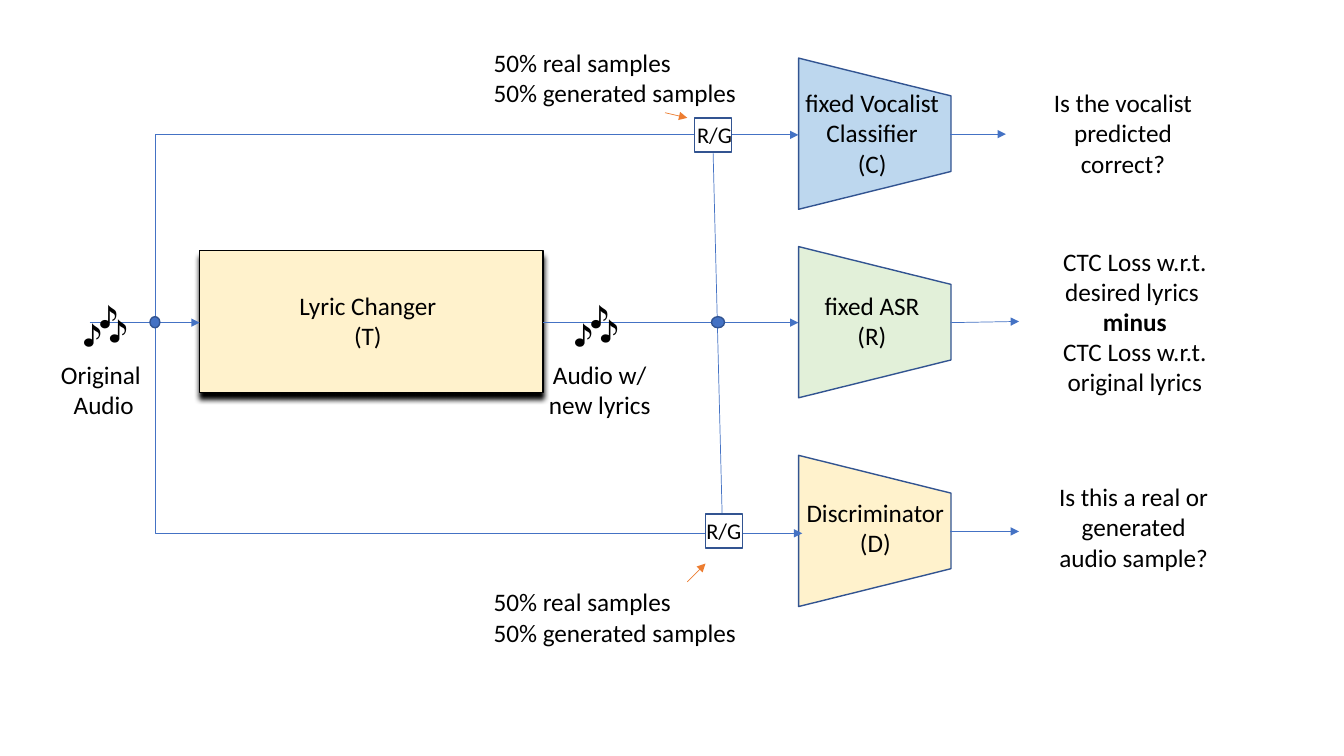
"""Draws the training diagram of a lyric changer with its three judges."""
import pptx
import pptx.util
import pptx.dml.color
import pptx.enum.shapes
import pptx.enum.text
import pptx.oxml
import pptx.oxml.ns
from lxml import etree

Cm = pptx.util.Cm
Pt = pptx.util.Pt
KIND = pptx.enum.shapes.MSO_SHAPE
LINK = pptx.enum.shapes.MSO_CONNECTOR
ALIGN = pptx.enum.text.PP_ALIGN
FIT = pptx.enum.text.MSO_AUTO_SIZE.SHAPE_TO_FIT_TEXT
FONT = "Calibri"
MID = 8.13
COLORS = {
    "black": "000000",
    "white": "FFFFFF",
    "cream": "FFF2CC",
    "sky": "BDD7EE",
    "mint": "E2F0D9",
    "edge": "325491",
    "blue": "4472C4",
    "orange": "ED7D31",
}


def color(name):
    return pptx.dml.color.RGBColor.from_string(COLORS[name])


def add_sub(parent, tag, **attrs):
    return etree.SubElement(parent, pptx.oxml.ns.qn(tag), attrs)


def add_shape(slide, kind, box, fill, edge="edge"):
    shape = slide.shapes.add_shape(kind, *map(Cm, box))
    shape.shadow.inherit = False
    shape.fill.solid()
    shape.fill.fore_color.rgb = color(fill)
    shape.line.color.rgb = color(edge)
    shape.line.width = Pt(1)
    return shape


def add_shadow(shape):
    effects = shape._element.spPr.find(pptx.oxml.ns.qn("a:effectLst"))
    shade = add_sub(effects, "a:outerShdw", blurRad=str(Pt(4)), dist=str(Pt(4)),
                    dir="5400000", algn="t", rotWithShape="0")
    add_sub(shade, "a:srgbClr", val=COLORS["black"])


def add_text(slide, box, text, size=18, align=ALIGN.CENTER, bold=None):
    frame = slide.shapes.add_textbox(*map(Cm, box)).text_frame
    frame.word_wrap = True
    frame.auto_size = FIT
    frame.text = text
    for para in frame.paragraphs:
        para.alignment = align
        para.font.name = FONT
        para.font.size = Pt(size)
        para.font.color.rgb = color("black")
        para.font.bold = para.text == bold


def add_line(slide, start, end, tint="blue", head=True, kind=LINK.STRAIGHT):
    line = slide.shapes.add_connector(kind, *map(Cm, start + end))
    line.line.color.rgb = color(tint)
    line.line.width = Pt(0.5)
    if head:
        add_sub(line.line._get_or_add_ln(), "a:tailEnd", type="triangle")
    add_sub(line._element.spPr, "a:effectLst")
    return line


def add_bend(slide, start, end):
    line = add_line(slide, start, end, kind=LINK.ELBOW)
    guides = line._element.spPr.find(".//" + pptx.oxml.ns.qn("a:avLst"))
    add_sub(guides, "a:gd", name="adj1", fmla="val 100")


def add_judge(slide, top, fill, label, box, start, end):
    shape = add_shape(slide, KIND.TRAPEZOID, (20.14, top, 3.81, 3.84), fill)
    shape.rotation = 90
    add_text(slide, box, label)
    add_line(slide, start, end)


def add_switch(slide, box, label, notes, start, end):
    add_shape(slide, KIND.RECTANGLE, box + (0.94, 0.86), "white")
    add_text(slide, label + (1.5, 0.94), "R/G", 16, ALIGN.LEFT)
    add_text(slide, notes + (6.73, 1.8),
             "50% real samples\n50% generated samples", align=ALIGN.LEFT)
    add_line(slide, start, end, "orange")


def add_changer(slide):
    shape = add_shape(slide, KIND.RECTANGLE, (5.03, 6.32, 8.66, 3.58), "cream", "black")
    add_shadow(shape)
    add_text(slide, (6.35, 7.19, 5.84, 1.8), "Lyric Changer\n(T)")
    add_line(slide, (2.26, MID), (5.03, MID))
    add_line(slide, (13.69, MID), (20.12, MID))
    for left in (1.83, 14.2):
        add_text(slide, (left, 7.3, 2.5, 1.63), "🎶", 32, ALIGN.LEFT)
    add_text(slide, (1.09, 8.92, 3.05, 1.8), "Original \nAudio")
    add_text(slide, (13.49, 8.92, 3.25, 1.8), "Audio w/\vnew lyrics")


def add_answers(slide):
    add_text(slide, (26.04, 2.08, 4.52, 2.57), "Is the vocalist predicted correct?")
    add_text(slide, (26.34, 6.07, 4.52, 4.11),
             "CTC Loss w.r.t. desired lyrics \nminus\nCTC Loss w.r.t. original lyrics",
             bold="minus")
    add_text(slide, (26.31, 12.01, 4.52, 2.57),
             "Is this a real or generated audio sample?")


def main():
    deck = pptx.Presentation()
    deck.slide_width, deck.slide_height = Cm(33.87), Cm(19.05)
    slide = deck.slides.add_slide(deck.slide_layouts[6])
    add_changer(slide)
    add_judge(slide, 1.45, "sky", "fixed Vocalist\nClassifier\n(C)",
              (19.86, 2.08, 4.24, 2.57), (23.95, 3.38), (25.35, 3.38))
    add_judge(slide, 6.2, "mint", "fixed ASR\n(R)",
              (20.12, 7.19, 3.71, 1.8), (23.95, MID), (25.68, 8.1))
    add_judge(slide, 11.46, "cream", "Discriminator\n(D)",
              (19.81, 12.4, 4.5, 1.8), (23.95, 13.39), (25.68, 13.39))
    add_answers(slide)
    add_bend(slide, (3.91, 8.15), (20.22, 13.44))
    add_bend(slide, (3.91, 8.1), (20.12, 3.4))
    add_line(slide, (17.96, 3.4), (18.21, 13.44), head=False)
    for left, width in ((3.78, 0.25), (17.93, 0.33)):
        add_shape(slide, KIND.OVAL, (left, 7.98, width, 0.28), "blue")
    add_switch(slide, (17.5, 2.97), (17.32, 2.92), (12.19, 1.07),
               (16.76, 2.84), (17.32, 2.97))
    add_switch(slide, (17.78, 12.95), (17.55, 12.9), (12.19, 14.66),
               (17.32, 14.66), (17.78, 14.2))
    deck.save("out.pptx")


if __name__ == "__main__":
    main()
